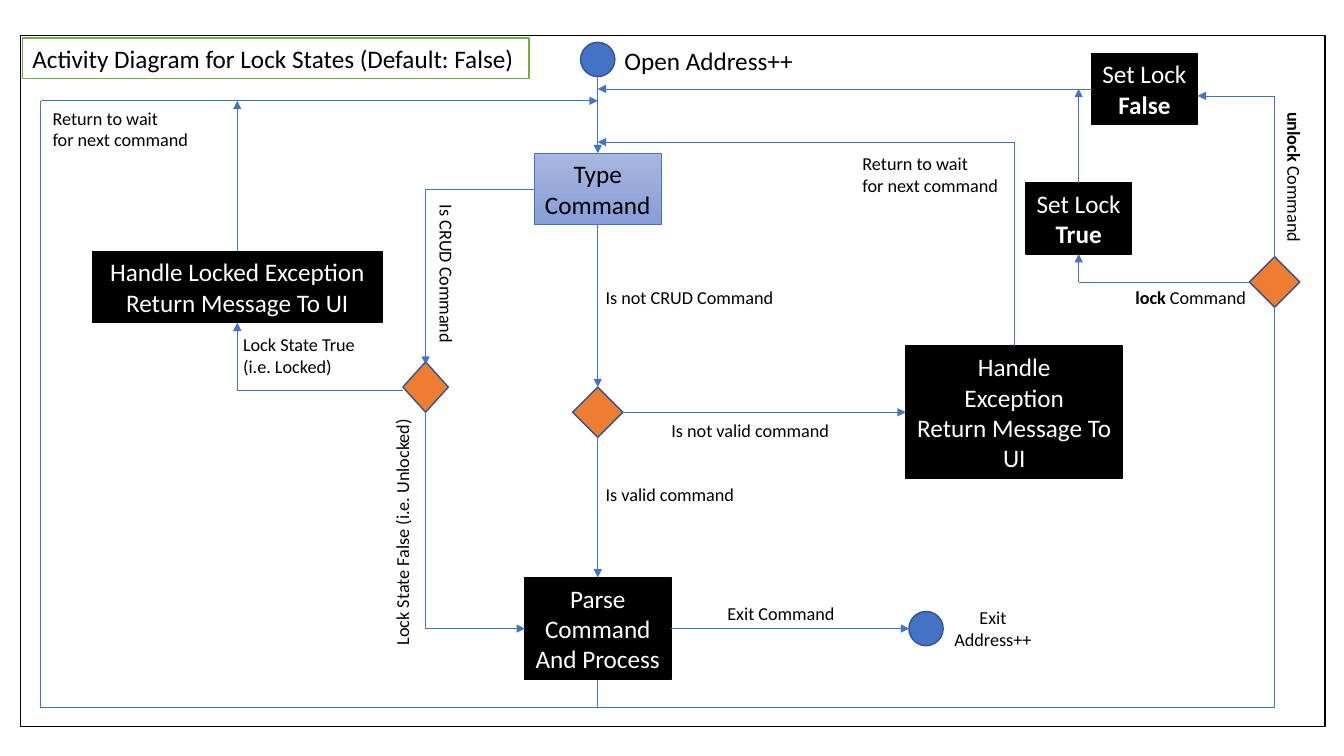
from pptx import Presentation
from pptx.dml.color import RGBColor
from pptx.enum.shapes import MSO_CONNECTOR, MSO_SHAPE
from pptx.enum.text import MSO_ANCHOR, MSO_AUTO_SIZE, PP_ALIGN
from pptx.oxml.ns import qn
from pptx.util import Pt
from lxml import etree

RECT, OVAL, DIAMOND = MSO_SHAPE.RECTANGLE, MSO_SHAPE.OVAL, MSO_SHAPE.DIAMOND
STRAIGHT = MSO_CONNECTOR.STRAIGHT
LEFT, CENTER = PP_ALIGN.LEFT, PP_ALIGN.CENTER
MIDDLE, GROW = MSO_ANCHOR.MIDDLE, MSO_AUTO_SIZE.SHAPE_TO_FIT_TEXT

BLACK, WHITE, BLUE, NAVY = "000000", "FFFFFF", "4472C4", "325491"
ORANGE, GREEN = "ED7D31", "70AD47"

# Columns and rows shared by the nodes and the flows, in points
LOOP_X, LOCKED_X, CRUD_X, MAIN_X = 29, 169.5, 304, 427
ERROR_X, LOCK_X, UNLOCK_X = 724.5, 770.5, 910.5
FALSE_Y, UNLOCK_Y, LOOP_Y, RETRY_Y, TYPE_Y = 63.5, 68.5, 72, 101.5, 135
LOCK_Y, CRUD_Y, VALID_Y, PARSE_Y, BOTTOM_Y = 201.5, 276.5, 294.5, 449, 505.5

# Centre x, centre y, width, height, text
STEPS = [
    (MAIN_X, PARSE_Y, 104.5, 73, "Parse\nCommand\nAnd Process"),
    (ERROR_X, VALID_Y, 155, 94.5, "Handle\nException\nReturn Message To\nUI"),
    (LOCKED_X, 205, 206.5, 51, "Handle Locked Exception\nReturn Message To UI"),
    (LOCK_X, 156, 75.5, 51, "Set Lock\n*True*"),
    (817.5, FALSE_Y, 75.5, 51, "Set Lock\n*False*"),
]
DECISIONS = [(MAIN_X, VALID_Y, 36), (CRUD_X, CRUD_Y, 32.5), (UNLOCK_X, LOCK_Y, 36)]
TERMINALS = [(MAIN_X, 42.5), (661.5, PARSE_Y)]

# Corner points of each flow; the arrowhead sits on the last one
FLOWS = [
    [(MAIN_X, 55), (MAIN_X, 109.5)],
    [(MAIN_X, 160.5), (MAIN_X, 276.5)],
    [(MAIN_X, 312.5), (MAIN_X, 412.5)],
    [(445, VALID_Y), (647, VALID_Y)],
    [(ERROR_X, 247), (ERROR_X, RETRY_Y), (MAIN_X, RETRY_Y)],
    [(381.5, TYPE_Y), (CRUD_X, TYPE_Y), (CRUD_X, 260.5)],
    [(CRUD_X, 294.5), (CRUD_X, PARSE_Y), (375, PARSE_Y)],
    [(288, 279), (LOCKED_X, 279), (LOCKED_X, 230.5)],
    [(LOCKED_X, 179.5), (LOCKED_X, LOOP_Y)],
    [(MAIN_X, 485.5), (MAIN_X, BOTTOM_Y), (LOOP_X, BOTTOM_Y),
     (LOOP_X, LOOP_Y), (MAIN_X, LOOP_Y)],
    [(479, PARSE_Y), (649.5, PARSE_Y)],
    [(892.5, LOCK_Y), (LOCK_X, LOCK_Y), (LOCK_X, 181.5)],
    [(UNLOCK_X, 183.5), (UNLOCK_X, UNLOCK_Y), (855.5, UNLOCK_Y)],
    [(780, FALSE_Y), (MAIN_X, FALSE_Y)],
    [(LOCK_X, 130.5), (LOCK_X, FALSE_Y)],
]
UNLOCK_FEED = [(MAIN_X, BOTTOM_Y), (UNLOCK_X, BOTTOM_Y), (UNLOCK_X, 219.5)]

# Left, top, width, height, text, then alignment and rotation where needed
LABELS = [
    (197.5, 367, 179, 23, "Lock State False (i.e. Unlocked)", LEFT, 270),
    (262, 185, 114.5, 23, "Is CRUD Command", LEFT, 90),
    (166.5, 234, 98.5, 39, "Lock State True\n(i.e. Locked)"),
    (425.5, 201, 136, 23, "Is not CRUD Command"),
    (425.5, 341.5, 108, 23, "Is valid command"),
    (472.5, 295.5, 129, 23, "Is not valid command"),
    (609, 105, 113, 39, "Return to wait\nfor next command"),
    (30.5, 72.5, 113, 39, "Return to wait\nfor next command"),
    (512.5, 426.5, 92, 23, "Exit Command"),
    (674, 429, 70.5, 39, "Exit\nAddress++", CENTER),
    (803, 201, 95, 23, "*lock *Command", CENTER),
    (870.5, 115, 108.5, 23, "*unlock *Command", CENTER, 90),
]


def rgb(color):
    return RGBColor.from_string(color)


def write(shape, text, size, color, align):
    """Fill a shape with lines of text; parts between asterisks are bold."""
    frame = shape.text_frame
    layout = {"word_wrap": False, "auto_size": GROW, "vertical_anchor": MIDDLE}
    for key, value in layout.items():
        setattr(frame, key, value)
    for index, line in enumerate(text.split("\n")):
        paragraph = frame.add_paragraph() if index else frame.paragraphs[0]
        paragraph.alignment = align
        for part, words in enumerate(line.split("*")):
            if not words:
                continue
            run = paragraph.add_run()
            run.text = words
            run.font.color.rgb = rgb(color)
            style = {"name": "Calibri", "size": Pt(size), "bold": part % 2 == 1}
            for key, value in style.items():
                setattr(run.font, key, value)


def add_outlined(slide, kind, box, fill, line, weight=1):
    shape = slide.shapes.add_shape(kind, *map(Pt, box))
    shape.shadow.inherit = False
    shape.fill.solid()
    shape.fill.fore_color.rgb = rgb(fill)
    shape.line.color.rgb = rgb(line)
    shape.line.width = Pt(weight)
    return shape


def add_node(slide, kind, x, y, width, height, fill, line, weight=1):
    """Add a shape centred on x, y."""
    box = (x - width / 2, y - height / 2, width, height)
    return add_outlined(slide, kind, box, fill, line, weight)


def add_label(slide, left, top, width, height, text, align=LEFT, rotation=0, size=13):
    label = slide.shapes.add_textbox(Pt(left), Pt(top), Pt(width), Pt(height))
    label.rotation = rotation
    write(label, text, size, BLACK, align)


def add_flow(slide, corners, arrow=True):
    for start, end in zip(corners, corners[1:]):
        segment = slide.shapes.add_connector(STRAIGHT, *map(Pt, start + end))
        segment.line.color.rgb = rgb(BLUE)
        segment.line.width = Pt(0.5)
        properties = segment.line._get_or_add_ln()
        if arrow and end == corners[-1]:
            etree.SubElement(properties, qn("a:tailEnd"), type="triangle")
        etree.SubElement(properties.getparent(), qn("a:effectLst"))


def add_type_command(slide):
    step = add_node(slide, RECT, MAIN_X, TYPE_Y, 91, 51, BLUE, BLUE, 0.5)
    step.fill.gradient()
    step.fill.gradient_angle = 270
    for stop, color in zip(step.fill.gradient_stops, ("A8B7DF", "889ED7")):
        stop.color.rgb = rgb(color)
    write(step, "Type\nCommand", 18, BLACK, CENTER)


def main():
    deck = Presentation()
    deck.slide_width, deck.slide_height = Pt(960), Pt(540)
    slide = deck.slides.add_slide(deck.slide_layouts[6])

    add_outlined(slide, RECT, (14.5, 25.5, 932, 493.5), WHITE, BLACK)
    title = add_outlined(slide, RECT, (16, 27, 362, 29), WHITE, GREEN)
    write(title, "Activity Diagram for Lock States (Default: False)", 18, BLACK, LEFT)

    for x, y in TERMINALS:
        add_node(slide, OVAL, x, y, 24.5, 24.5, BLUE, NAVY)
    for x, y, width in DECISIONS:
        add_node(slide, DIAMOND, x, y, width, 36, ORANGE, NAVY)
    add_type_command(slide)
    for *place, text in STEPS:
        step = add_node(slide, RECT, *place, BLACK, BLACK)
        write(step, text, 18, WHITE, CENTER)

    for corners in FLOWS:
        add_flow(slide, corners)
    add_flow(slide, UNLOCK_FEED, arrow=False)

    add_label(slide, 439, 28.5, 136, 29, "Open Address++", size=18)
    for label in LABELS:
        add_label(slide, *label)

    deck.save("out.pptx")


if __name__ == "__main__":
    main()
